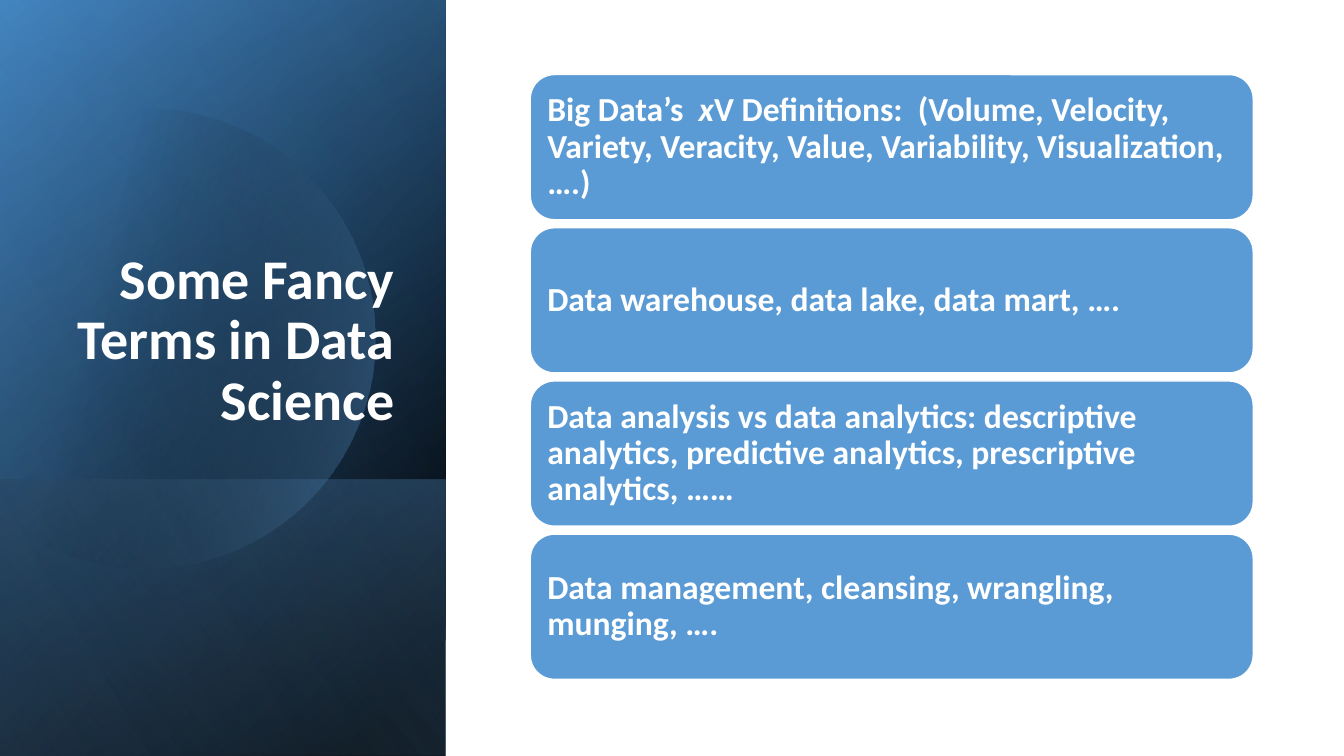
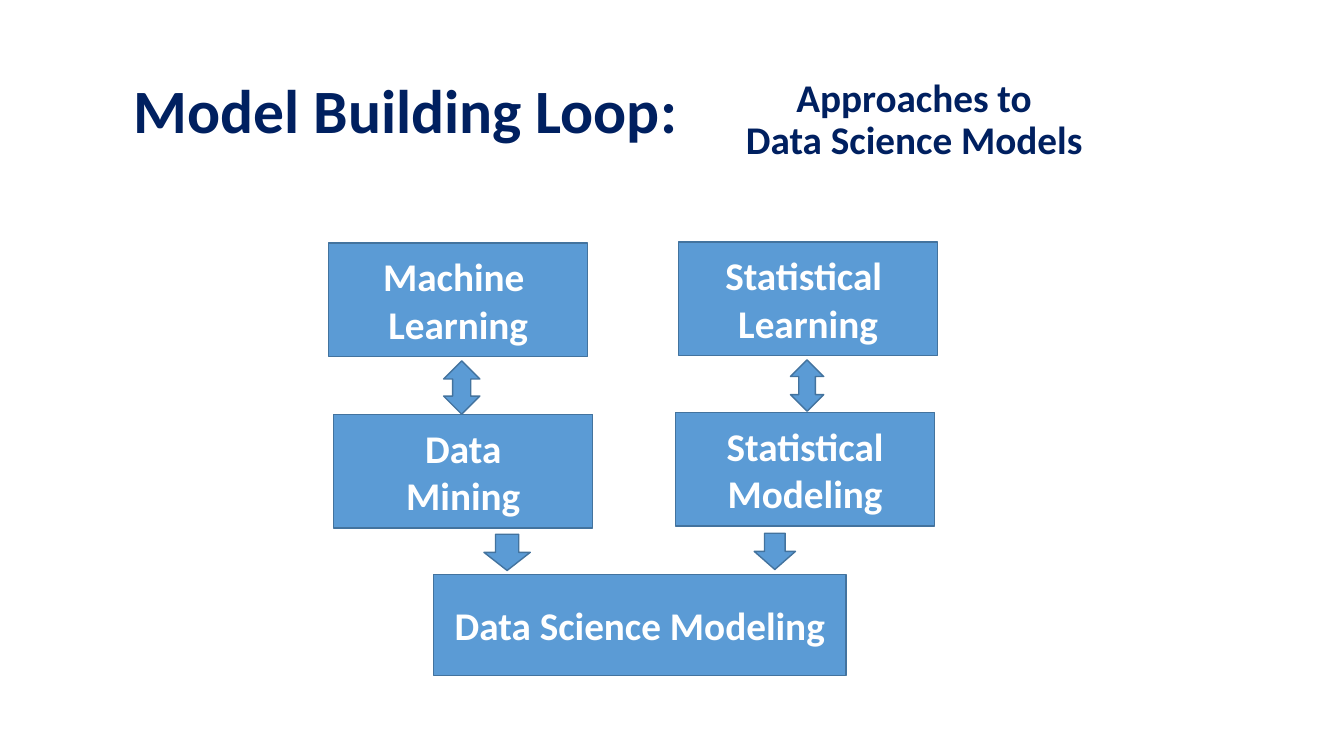
from dataclasses import dataclass
from math import acos, cos, sin

from pptx import Presentation
from pptx.dml.color import RGBColor
from pptx.enum.shapes import MSO_SHAPE
from pptx.enum.text import MSO_ANCHOR, PP_ALIGN
from pptx.oxml import parse_xml
from pptx.oxml.ns import nsdecls
from pptx.util import Inches, Pt


@dataclass(frozen=True)
class Theme:
    """Colours, font and type sizes of the deck."""
    font: str = "Calibri"
    white: str = "FFFFFF"
    black: str = "000000"
    navy: str = "002060"
    blue: str = "5B9BD5"
    deep: str = "2E75B6"
    pale: str = "9DC3E6"
    edge: str = "43739E"
    head: int = 44
    side: int = 40
    label: int = 28
    body: int = 24


THEME = Theme()


def apply(item, form):
    """Set each format value on the item."""
    for key, value in form.items():
        setattr(item, key, value)


class Deck:
    """Holds the theme, the presentation and the current slide."""

    def __init__(self, theme):
        """Start a wide presentation."""
        self.theme = theme
        self.show = Presentation()
        apply(self.show, {"slide_width": Inches(13.33), "slide_height": Inches(7.5)})

    def page(self):
        """Add a blank slide and make it current."""
        self.slide = self.show.slides.add_slide(self.show.slide_layouts[6])

    def letter(self, shape, lines, size, color, align=PP_ALIGN.CENTER,
               anchor=MSO_ANCHOR.MIDDLE, space=1.0, inset=None):
        """Fill a shape with lines, each a text or a list of text and italic pairs."""
        frame = shape.text_frame
        apply(frame, {"word_wrap": True, "vertical_anchor": anchor})
        if inset is not None:
            sides = ("left", "right", "top", "bottom")
            apply(frame, {f"margin_{side}": Inches(inset) for side in sides})
        for spot, line in enumerate(lines):
            para = frame.add_paragraph() if spot else frame.paragraphs[0]
            apply(para, {"alignment": align, "line_spacing": space})
            for text, slant in [(line, False)] if isinstance(line, str) else line:
                run = para.add_run()
                run.text = text
                apply(run.font, {"name": self.theme.font, "size": Pt(size),
                                 "bold": True, "italic": slant})
                run.font.color.rgb = RGBColor.from_string(color)

    def title(self, box, lines, size, color, **form):
        """Add a heading in a text box."""
        shape = self.slide.shapes.add_textbox(*map(Inches, box))
        self.letter(shape, lines, size, color, space=0.9, **form)

    def block(self, kind, box, line):
        """Add a blue preset shape with an outline."""
        shape = self.slide.shapes.add_shape(kind, *map(Inches, box))
        shape.shadow.inherit = False
        shape.fill.solid()
        shape.fill.fore_color.rgb = RGBColor.from_string(self.theme.blue)
        shape.line.color.rgb = RGBColor.from_string(line)
        shape.line.width = Pt(1)
        return shape

    def blend(self, shape, stops, angle):
        """Give a shape a gradient of place, colour and opacity stops."""
        marks = "".join(
            f'<a:gs pos="{place * 1000}"><a:srgbClr val="{color}">'
            f'<a:alpha val="{alpha * 1000}"/></a:srgbClr></a:gs>'
            for place, color, alpha in stops)
        fill = parse_xml(
            f'<a:gradFill {nsdecls("a")} rotWithShape="1"><a:gsLst>{marks}</a:gsLst>'
            f'<a:lin ang="{angle * 60000}" scaled="0"/></a:gradFill>')
        shape.shadow.inherit = False
        shape.line.fill.background()
        shape._element.spPr[1].addnext(fill)

    def panel(self, top, wide, high, stops, angle):
        """Add a mirrored, turned gradient panel at the left edge."""
        box = ((wide - high) / 2, top + (high - wide) / 2, high, wide)
        shape = self.slide.shapes.add_shape(MSO_SHAPE.RECTANGLE, *map(Inches, box))
        shape.rotation = 90
        shape._element.spPr.get_or_add_xfrm().set("flipH", "1")
        self.blend(shape, stops, angle)

    def disc(self, mid_x, mid_y, size, stops, angle):
        """Add a gradient disc cut off by the left edge."""
        reach, steps = acos(-mid_x / size), 120
        turns = [reach * (2 * step / steps - 1) for step in range(steps + 1)]
        points = [(Inches(mid_x + size * cos(turn)), Inches(mid_y + size * sin(turn)))
                  for turn in turns]
        edge = self.slide.shapes.build_freeform(*points[0])
        edge.add_line_segments(points[1:], close=True)
        self.blend(edge.convert_to_shape(), stops, angle)


def terms(deck):
    """Build the slide of fancy terms."""
    look = deck.theme
    wide, high, base = 4.42, 7.5, 2.74
    deck.page()
    deck.panel(0, wide, high, [(8, look.black, 100), (100, look.deep, 100)], 50)
    deck.panel(0, wide, high, [(0, look.black, 0), (99, look.blue, 46)], 30)
    deck.panel(high - base, wide, base, [(2, look.blue, 29), (100, look.black, 30)], 130)
    deck.disc(1.44, 3.36, 2.28, [(29, look.black, 0), (100, look.blue, 43)], 14)
    deck.panel(0, wide, high, [(0, look.black, 0), (99, look.pale, 11)], 120)
    deck.title((0.51, 0.64, 3.5, 3.7), ["Some Fancy Terms in Data Science"], look.side,
               look.white, align=PP_ALIGN.RIGHT, anchor=MSO_ANCHOR.BOTTOM)
    cards = [
        [("Big Data’s  ", False), ("x", True),
         ("V Definitions:  (Volume, Velocity, Variety, Veracity, Value, "
          "Variability, Visualization, ….)", False)],
        "Data warehouse, data lake, data mart, ….",
        "Data analysis vs data analytics: descriptive analytics, "
        "predictive analytics, prescriptive analytics, ……",
        "Data management, cleansing, wrangling, munging, ….",
    ]
    for row, text in enumerate(cards):
        card = deck.block(MSO_SHAPE.ROUNDED_RECTANGLE,
                          (5.26, 0.74 + 1.52 * row, 7.17, 1.44), look.white)
        deck.letter(card, [text], look.body, look.white, align=PP_ALIGN.LEFT,
                    space=0.9, inset=0.1)


def model(deck):
    """Build the slide of the model building loop."""
    look = deck.theme
    deck.page()
    deck.title((0.9, 0.4, 6.25, 1.45), ["Model Building Loop:"], look.head, look.navy)
    deck.title((7.15, 0.47, 3.92, 1.45), ["Approaches to ", "Data Science Models "],
               look.label, look.navy)
    nodes = [
        ((3.26, 2.41, 2.57, 1.13), ["Machine ", "Learning"]),
        ((6.73, 2.4, 2.57, 1.13), ["Statistical ", "Learning"]),
        ((3.31, 4.11, 2.57, 1.13), ["Data", "Mining"]),
        ((6.7, 4.09, 2.57, 1.13), ["Statistical", "Modeling"]),
        ((4.3, 5.7, 4.09, 1), ["Data Science Modeling"]),
    ]
    for box, lines in nodes:
        node = deck.block(MSO_SHAPE.RECTANGLE, box, look.edge)
        deck.letter(node, lines, look.label, look.white)
    arrows = [
        (MSO_SHAPE.UP_DOWN_ARROW, (4.4, 3.58, 0.36, 0.53)),
        (MSO_SHAPE.UP_DOWN_ARROW, (7.84, 3.57, 0.33, 0.51)),
        (MSO_SHAPE.DOWN_ARROW, (4.8, 5.3, 0.46, 0.36)),
        (MSO_SHAPE.DOWN_ARROW, (7.48, 5.29, 0.41, 0.36)),
    ]
    for kind, box in arrows:
        deck.block(kind, box, look.edge)


def main():
    """Build and save the deck."""
    deck = Deck(THEME)
    terms(deck)
    model(deck)
    deck.show.save("out.pptx")


if __name__ == "__main__":
    main()
